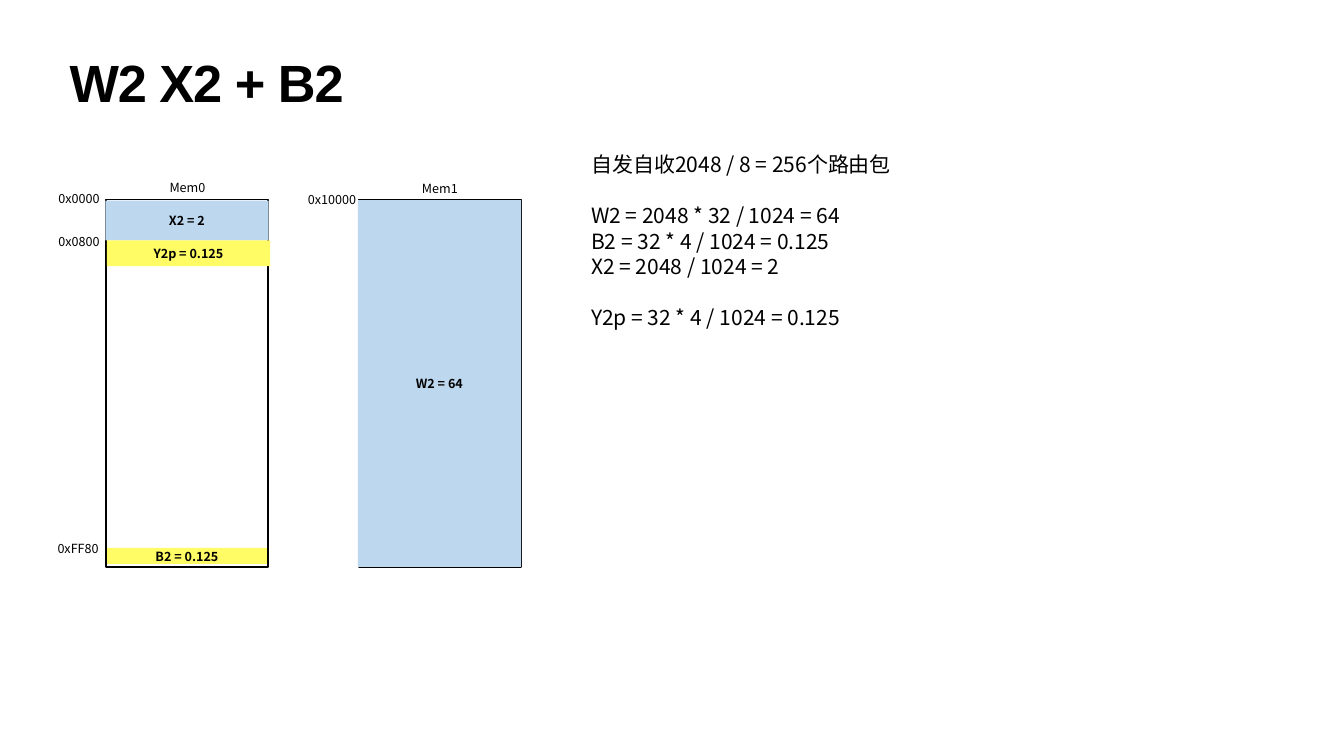
from pptx import Presentation
from pptx.dml.color import RGBColor
from pptx.enum.shapes import MSO_SHAPE
from pptx.enum.text import MSO_ANCHOR, PP_ALIGN
from pptx.oxml.ns import qn
from pptx.util import Inches, Pt
from lxml import etree

RECT = MSO_SHAPE.RECTANGLE
MIDDLE = MSO_ANCHOR.MIDDLE
LEFT, CENTER = PP_ALIGN.LEFT, PP_ALIGN.CENTER
COLORS = {"ink": "000000", "blue": "BDD7EE", "yellow": "FFFC66"}
HEAD, BODY = "Arial", "Noto Sans CJK SC"
PITCH = 1.21  # line height per point of body text


class Board:
    def __init__(self, slide):
        self.slide = slide

    def color(self, name):
        return RGBColor.from_string(COLORS[name])

    def style(self, para, size, bold=False, face=BODY, align=LEFT):
        para.alignment = align
        font = para.font
        font.size, font.bold, font.name = Pt(size), bold, face
        font.color.rgb = self.color("ink")
        props = para._p.pPr.find(qn("a:defRPr"))
        etree.SubElement(props, qn("a:ea")).set("typeface", face)
        return props

    def inset(self, frame, gap):
        frame.word_wrap = True
        frame.margin_left = frame.margin_right = Inches(gap)
        frame.margin_top = frame.margin_bottom = Inches(gap)

    def text(self, box, gap=0.05):
        frame = self.slide.shapes.add_textbox(*map(Inches, box)).text_frame
        self.inset(frame, gap)
        return frame

    def title(self, words, box):
        para = self.text(box, 0.06).paragraphs[0]
        para.text = words
        para.line_spacing = 0.8
        self.style(para, 74.8, True, HEAD).set("spc", "-150")

    def label(self, words, left, top):
        para = self.text((left, top, 1.1, 0.4)).paragraphs[0]
        para.text = words
        para.line_spacing = Pt(18 * PITCH)
        self.style(para, 18, align=CENTER)

    def notes(self, groups, box, size=30):
        """Write groups of lines, with one line of space between groups."""
        frame = self.text(box)
        pitch = Pt(size * PITCH)
        para = None
        for group in groups:
            for row, words in enumerate(group):
                first = para is None
                para = frame.paragraphs[0] if first else frame.add_paragraph()
                para.text = words
                para.line_spacing = pitch
                if row == 0 and not first:
                    para.space_before = pitch
                self.style(para, size)

    def rect(self, box):
        shape = self.slide.shapes.add_shape(RECT, *map(Inches, box))
        shape.shadow.inherit = False
        return shape

    def frame(self, left):
        shape = self.rect((left, 3.96, 3.22, 7.29))
        shape.fill.background()
        shape.line.color.rgb = self.color("ink")
        shape.line.width = Pt(2.25)

    def block(self, words, fill, left, top, height):
        shape = self.rect((left, top, 3.24, height))
        shape.fill.solid()
        shape.fill.fore_color.rgb = self.color(fill)
        shape.line.fill.background()
        frame = shape.text_frame
        self.inset(frame, 0)
        frame.vertical_anchor = MIDDLE
        para = frame.paragraphs[0]
        para.text = words
        para.line_spacing = Pt(18 * PITCH)
        self.style(para, 18, True, align=CENTER)


def main():
    deck = Presentation()
    deck.slide_width, deck.slide_height = Inches(26.67), Inches(15)
    board = Board(deck.slides.add_slide(deck.slide_layouts[6]))

    board.title("W2 X2 + B2", (1.32, 1.18, 24.03, 1.57))
    board.notes([
        ["自发自收2048 / 8 = 256个路由包"],
        ["W2 = 2048 * 32 / 1024 = 64",
         "B2 = 32 * 4 / 1024 = 0.125",
         "X2 = 2048 / 1024 = 2"],
        ["Y2p = 32 * 4 / 1024 = 0.125"],
    ], (11.68, 2.96, 13.3, 3.63))

    board.frame(7.12)
    board.block("W2 = 64", "blue", 7.1, 3.97, 7.28)
    board.block("B2 = 0.125", "yellow", 2.09, 10.87, 0.32)
    board.frame(2.1)
    board.block("X2 = 2", "blue", 2.09, 3.98, 0.79)
    board.block("Y2p = 0.125", "yellow", 2.12, 4.77, 0.51)

    for words, left, top in [
        ("Mem0", 3.17, 3.52), ("Mem1", 8.18, 3.53),
        ("0x0000", 1.02, 3.74), ("0x0800", 1.02, 4.58),
        ("0xFF80", 1, 10.69), ("0x10000", 6.04, 3.75),
    ]:
        board.label(words, left, top)

    deck.save("out.pptx")


if __name__ == "__main__":
    main()
